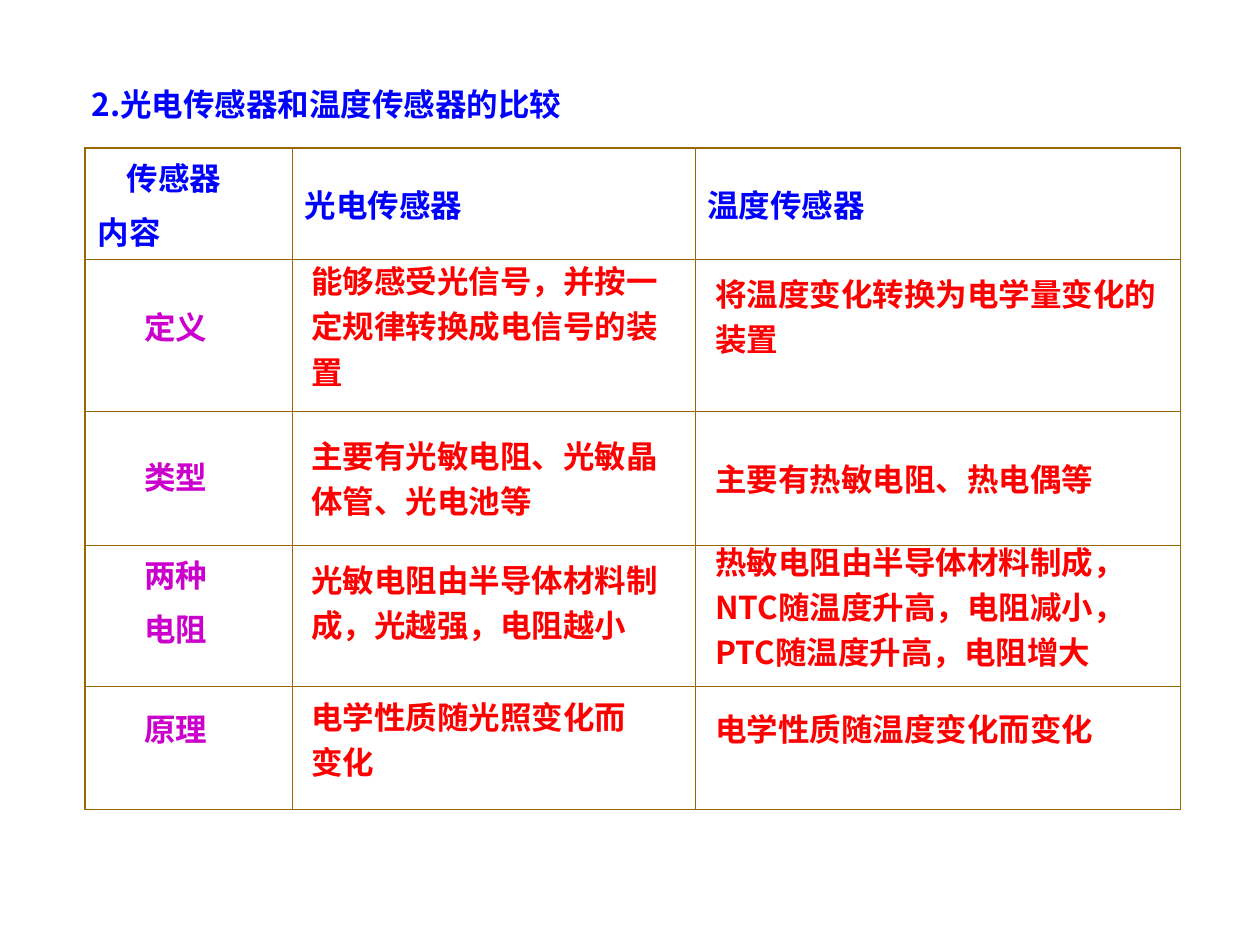
import pptx
import pptx.dml.color
import pptx.enum.text
import pptx.oxml.ns
import pptx.util
from lxml import etree

FONT = "Noto Sans CJK SC"
BLUE = pptx.dml.color.RGBColor(0x00, 0x00, 0xFF)
RED = pptx.dml.color.RGBColor(0xFF, 0x00, 0x00)
PURPLE = pptx.dml.color.RGBColor(0xCC, 0x00, 0xCC)
BROWN = pptx.dml.color.RGBColor(0x99, 0x66, 0x00)
MIDDLE = pptx.enum.text.MSO_ANCHOR.MIDDLE
TOP = pptx.enum.text.MSO_ANCHOR.TOP

HEADING = "2.光电传感器和温度传感器的比较"
HEADERS = [["传感器", "内容"], ["光电传感器"], ["温度传感器"]]
TABLE_LEFT, TABLE_TOP = 85, 148
COLUMNS = [207, 403, 486]
ROWS = [104, 152, 134, 141, 123]
ENTRY_LEFTS = [132, 299, 703]

# each entry: paragraphs, top, width, height, line spacing
ENTRIES = [
    (MIDDLE, [
        (["定义"], 302, 203, 50, 1.0),
        (["能够感受光信号，并按一定规律转换成电信号的装置"], 248, 387, 149, 1.2),
        (["将温度变化转换为电学量变化的装置"], 261, 471, 103, 1.2),
    ]),
    (MIDDLE, [
        (["类型"], 452, 205, 50, 1.0),
        (["主要有光敏电阻、光敏晶体管、光电池等"], 423, 399, 103, 1.2),
        (["主要有热敏电阻、热电偶等"], 454, 501, 50, 1.0),
    ]),
    (TOP, [
        (["两种", "电阻"], 554, 163, 101, 0.9),
        (["光敏电阻由半导体材料制成，光越强，电阻越小"], 547, 393, 103, 1.2),
        (["热敏电阻由半导体材料制成，NTC随温度升高，电阻减小，PTC随温度升高，电阻增大"],
         529, 457, 149, 1.2),
    ]),
    (TOP, [
        (["原理"], 708, 126, 47, 0.9),
        (["电学性质随光照变化而变化"], 684, 354, 103, 1.2),
        (["电学性质随温度变化而变化"], 708, 509, 47, 0.9),
    ]),
]


def px(value):
    return pptx.util.Emu(round(value * 914400 / 126))


def write(frame, paragraphs, color, spacing=1.0, gap=0, first_indent=0):
    for index, text in enumerate(paragraphs):
        paragraph = frame.paragraphs[0] if index == 0 else frame.add_paragraph()
        paragraph.alignment = pptx.enum.text.PP_ALIGN.LEFT
        paragraph.line_spacing = spacing
        paragraph.space_before = pptx.util.Pt(gap if index else 0)
        if index == 0 and first_indent:
            paragraph._p.get_or_add_pPr().set("marL", str(px(first_indent)))
        run = paragraph.add_run()
        run.text = text
        run.font.name = FONT
        run.font.size = pptx.util.Pt(18)
        run.font.bold = True
        run.font.color.rgb = color
        east_asian = etree.SubElement(run.font._element, pptx.oxml.ns.qn("a:ea"))
        east_asian.set("typeface", FONT)


def set_borders(cell, widths):
    properties = cell._tc.get_or_add_tcPr()
    for position, (side, width) in enumerate(widths.items()):
        line = etree.Element(pptx.oxml.ns.qn(f"a:ln{side}"), w=str(pptx.util.Pt(width)))
        fill = etree.SubElement(line, pptx.oxml.ns.qn("a:solidFill"))
        etree.SubElement(fill, pptx.oxml.ns.qn("a:srgbClr"), val=str(BROWN))
        properties.insert(position, line)


def add_comparison(slide):
    table = slide.shapes.add_table(
        len(ROWS), len(COLUMNS), px(TABLE_LEFT), px(TABLE_TOP),
        px(sum(COLUMNS)), px(sum(ROWS))).table
    table.first_row = table.horz_banding = False
    for column, width in zip(table.columns, COLUMNS):
        column.width = px(width)
    for row, height in zip(table.rows, ROWS):
        row.height = px(height)
    for r in range(len(ROWS)):
        for c in range(len(COLUMNS)):
            cell = table.cell(r, c)
            cell.fill.background()
            cell.vertical_anchor = MIDDLE
            outer = {"L": c == 0, "R": c == len(COLUMNS) - 1,
                     "T": r == 0, "B": r == len(ROWS) - 1}
            set_borders(cell, {side: 0.75 if edge else 0.45 for side, edge in outer.items()})
    for c, header in enumerate(HEADERS):
        write(table.cell(0, c).text_frame, header, BLUE, gap=4.5,
              first_indent=29 if c == 0 else 0)


def add_entries(slide):
    for anchor, entries in ENTRIES:
        for column, (paragraphs, top, width, height, spacing) in enumerate(entries):
            box = slide.shapes.add_textbox(
                px(ENTRY_LEFTS[column]), px(top), px(width), px(height))
            frame = box.text_frame
            frame.word_wrap = True
            frame.auto_size = pptx.enum.text.MSO_AUTO_SIZE.SHAPE_TO_FIT_TEXT
            frame.vertical_anchor = anchor
            write(frame, paragraphs, RED if column else PURPLE, spacing, gap=11.2)


def main():
    deck = pptx.Presentation()
    deck.slide_width, deck.slide_height = px(1260), px(945)
    slide = deck.slides.add_slide(deck.slide_layouts[5])
    heading = slide.shapes.title
    heading.left, heading.top, heading.width, heading.height = px(79), px(79), px(806), px(50)
    heading.text_frame.vertical_anchor = MIDDLE
    write(heading.text_frame, [HEADING], BLUE)
    add_comparison(slide)
    add_entries(slide)
    deck.save("out.pptx")


if __name__ == "__main__":
    main()
